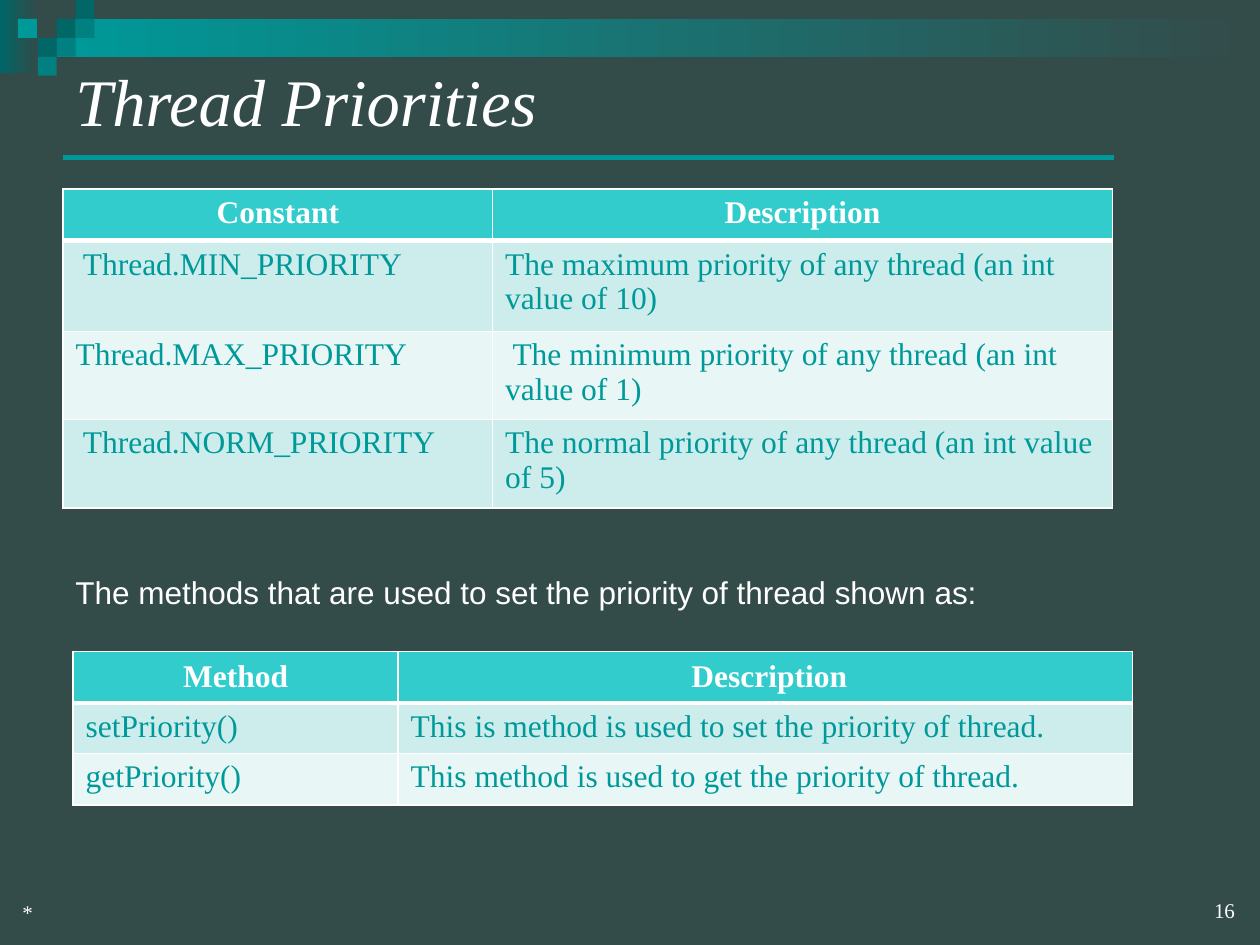
from lxml import etree
from pptx import Presentation
from pptx import util as u
from pptx.dml import color
from pptx.enum import shapes, text
from pptx.oxml import ns

HUES = {
    "back": "334B49", "deep": "006666", "mid": "008080", "teal": "009999",
    "head": "33CCCC", "odd": "CDECEC", "even": "E8F6F6", "white": "FFFFFF",
}
SERIF = "Times New Roman"
STEP = 0.15
TILES = [
    (3, 1, "deep"), (4, 0, "deep"), (4, 1, "mid"), (2, 2, "deep"),
    (0.95, 1, "teal"), (3, 2, "mid"), (2, 3, "mid"),
]
BANDS = [((0, 0, 0.31, 0.58), "deep"), ((0.45, 0.15, 9.55, 0.3), "teal")]
CONSTS = [
    ("Constant", "Description"),
    (" Thread.MIN_PRIORITY", "The maximum priority of any thread (an int value of 10)"),
    ("Thread.MAX_PRIORITY", " The minimum priority of any thread (an int value of 1)"),
    (" Thread.NORM_PRIORITY", "The normal priority of any thread (an int value of 5)"),
]
CALLS = [
    ("Method", " Description"),
    ("setPriority()", "This is method is used to set the priority of thread."),
    ("getPriority()", "This method is used to get the priority of thread."),
]


def hue(name):
    return color.RGBColor.from_string(HUES[name])


def inch(box):
    return [u.Inches(v) for v in box]


def paint(fill, name):
    fill.solid()
    fill.fore_color.rgb = hue(name)


def style(par, tint, size, **form):
    form = {"name": SERIF, "size": u.Pt(size), **form}
    for key, val in form.items():
        setattr(par.runs[0].font, key, val)
    par.runs[0].font.color.rgb = hue(tint)


def add_rect(slide, box):
    rect = slide.shapes.add_shape(shapes.MSO_SHAPE.RECTANGLE, *inch(box))
    rect.shadow.inherit = False
    rect.line.fill.background()
    return rect


def add_tile(slide, col, row, name):
    paint(add_rect(slide, (col * STEP, row * STEP, STEP, STEP)).fill, name)


def add_band(slide, box, name):
    fill = add_rect(slide, box).fill
    fill.gradient()
    fill.gradient_angle = 0
    for stop, tint in zip(fill.gradient_stops, (name, "back")):
        stop.color.rgb = hue(tint)


def add_rule(slide, left, right, top):
    rule = slide.shapes.add_connector(
        shapes.MSO_CONNECTOR.STRAIGHT, *inch((left, top, right, top)))
    rule.line.color.rgb = hue("teal")
    rule.line.width = u.Pt(2.75)
    etree.SubElement(rule._element.spPr, ns.qn("a:effectLst"))


def add_text(slide, box, words, size, anchor="TOP", align="LEFT", **form):
    frame = slide.shapes.add_textbox(*inch(box)).text_frame
    frame.word_wrap = True
    frame.vertical_anchor = text.MSO_ANCHOR[anchor]
    par = frame.paragraphs[0]
    par.text = words
    par.alignment = text.PP_ALIGN[align]
    style(par, "white", size, **form)


def add_edge(cell, spot, side, width):
    line = etree.Element(ns.qn("a:ln" + side), w=str(u.Pt(width)))
    fill = etree.SubElement(line, ns.qn("a:solidFill"))
    etree.SubElement(fill, ns.qn("a:srgbClr"), val=HUES["white"])
    cell._tc.get_or_add_tcPr().insert(spot, line)


def fill_cell(cell, words, row, anchor):
    head = row == 0
    cell.text = words
    par = cell.text_frame.paragraphs[0]
    par.alignment = text.PP_ALIGN.CENTER if head else text.PP_ALIGN.LEFT
    style(par, "white" if head else "teal", 18, bold=head)
    cell.vertical_anchor = text.MSO_ANCHOR[anchor if head else "TOP"]
    paint(cell.fill, "head" if head else "odd" if row % 2 else "even")
    edges = {"L": 1, "R": 1, "T": 3 if row == 1 else 1, "B": 3 if head else 1}
    for spot, (side, width) in enumerate(edges.items()):
        add_edge(cell, spot, side, width)


def add_grid(slide, left, top, cols, rows, data, anchor="TOP"):
    box = inch((left, top, sum(cols), sum(rows)))
    grid = slide.shapes.add_table(len(rows), len(cols), *box).table
    for col, wide in zip(grid.columns, cols):
        col.width = u.Inches(wide)
    for row, tall in zip(grid.rows, rows):
        row.height = u.Inches(tall)
    for r, line in enumerate(data):
        for c, words in enumerate(line):
            fill_cell(grid.cell(r, c), words, r, anchor)


def main():
    deck = Presentation()
    deck.slide_width, deck.slide_height = inch((10, 7.5))
    slide = deck.slides.add_slide(deck.slide_layouts[6])
    paint(slide.background.fill, "back")
    for box, name in BANDS:
        add_band(slide, box, name)
    for tile in TILES:
        add_tile(slide, *tile)
    add_text(slide, (0.08, 7.06, 2.33, 0.33), "*", 12, "BOTTOM")
    add_rule(slide, 0.5, 8.84, 1.25)
    add_text(slide, (0.5, 0.25, 9, 1.08), "Thread Priorities", 38, "MIDDLE", italic=True)
    add_grid(slide, 0.5, 1.5, (3.41, 4.92), (0.41, 0.72, 0.7, 0.7), CONSTS)
    add_text(slide, (7.57, 7.04, 2.33, 0.33), "16", 12, "BOTTOM", "RIGHT")
    add_text(slide, (0.5, 4.5, 8.5, 1.62),
             "The methods that are used to set the priority of thread shown as:",
             18, name="Arial")
    add_grid(slide, 0.58, 5.17, (2.58, 5.83), (0.41, 0.4, 0.41), CALLS, "MIDDLE")
    deck.save("out.pptx")


if __name__ == "__main__":
    main()
